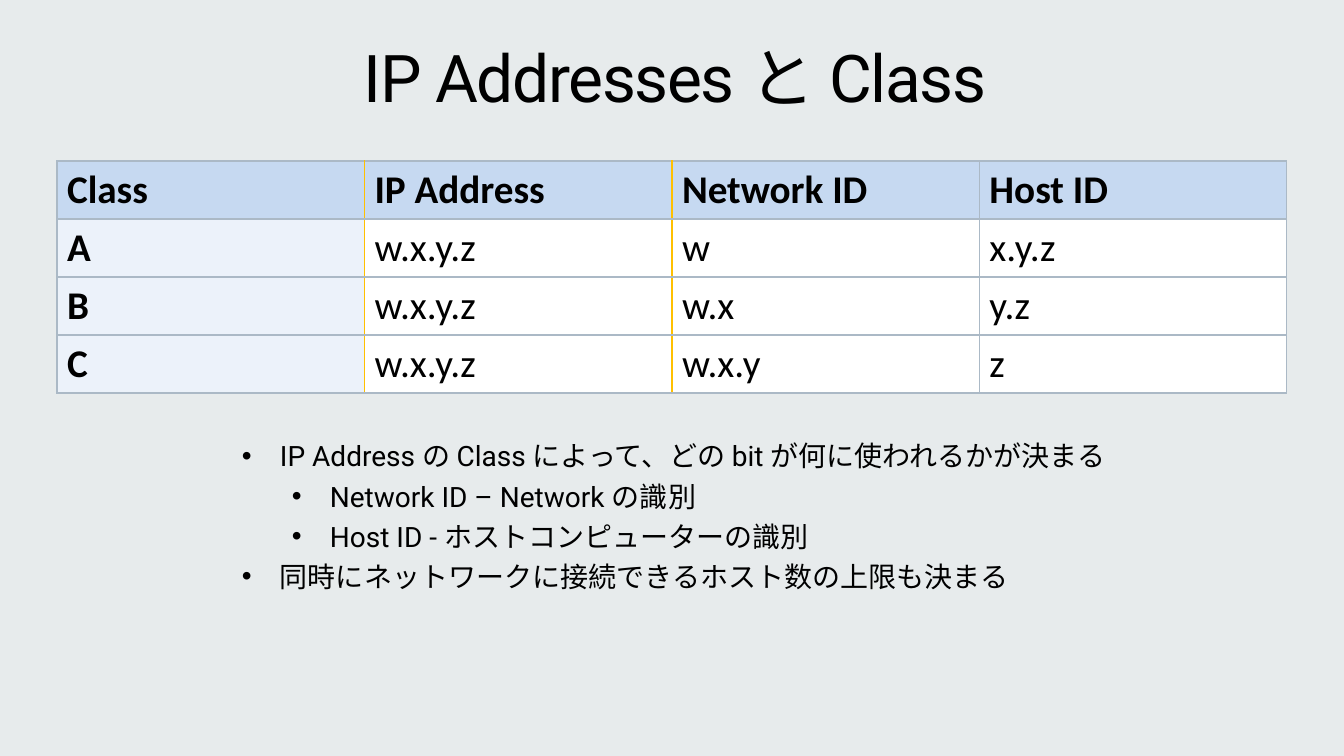
from pptx import Presentation
from pptx.dml.color import RGBColor
from pptx.enum.text import MSO_ANCHOR, PP_ALIGN
from pptx.oxml.ns import qn
from pptx.util import Pt
from lxml import etree

CENTER, LEFT = PP_ALIGN.CENTER, PP_ALIGN.LEFT
MIDDLE = MSO_ANCHOR.MIDDLE
EMU_PER_PX = 914400 / 100.8

THEME = {
    "background": "E7EBEC", "text": "000000",
    "header": "C6D9F1", "class": "ECF2FA", "body": "FFFFFF",
    "grid": "ABB9C6", "accent": "FFC000",
    "title_size": 47, "table_size": 28, "list_size": 20,
    "font": "Roboto", "table_font": "Calibri",
}


def px(length):
    return round(length * EMU_PER_PX)


def write(paragraph, text, size, font=THEME["font"], bold=False, align=LEFT, tracking=0,
          bullet_indent=None, space_before=0):
    """Fill a paragraph; bullet_indent is its left margin in px, tracking is in points."""
    if bullet_indent is not None:
        properties = paragraph._p.get_or_add_pPr()
        properties.set("marL", str(px(bullet_indent)))
        properties.set("indent", str(-px(38)))
        etree.SubElement(properties, qn("a:buFont")).set("typeface", "Arial")
        etree.SubElement(properties, qn("a:buChar")).set("char", "•")
    paragraph.alignment = align
    paragraph.space_before = Pt(space_before)
    run = paragraph.add_run()
    run.text = text
    run.font.size = Pt(size)
    run.font.name = font
    run.font.bold = bold
    run.font.color.rgb = RGBColor.from_string(THEME["text"])
    if tracking:
        run._r.get_or_add_rPr().set("spc", str(tracking * 100))


presentation = Presentation()
presentation.slide_width, presentation.slide_height = px(1344), px(756)
slide = presentation.slides.add_slide(presentation.slide_layouts[6])
slide.background.fill.solid()
slide.background.fill.fore_color.rgb = RGBColor.from_string(THEME["background"])

# Class table
rows = [
    ("Class", "IP Address", "Network ID", "Host ID"),
    ("A", "w.x.y.z", "w", "x.y.z"),
    ("B", "w.x.y.z", "w.x", "y.z"),
    ("C", "w.x.y.z", "w.x.y", "z"),
]
ROW_HEIGHT, TABLE_WIDTH = 58, 1230
table = slide.shapes.add_table(len(rows), len(rows[0]), px(57), px(161),
                               px(TABLE_WIDTH), px(ROW_HEIGHT * len(rows))).table
table.first_row = table.horz_banding = False
for row in table.rows:
    row.height = px(ROW_HEIGHT)

for row_index, row in enumerate(rows):
    for column_index, text in enumerate(row):
        cell = table.cell(row_index, column_index)
        # The IP Address column is framed by accent lines.
        borders = {
            "a:lnL": "accent" if column_index in (1, 2) else "grid",
            "a:lnR": "accent" if column_index in (0, 1) else "grid",
            "a:lnT": "grid",
            "a:lnB": "grid",
        }
        for side, color in borders.items():
            line = etree.SubElement(cell._tc.get_or_add_tcPr(), qn(side), w=str(Pt(1)))
            fill = etree.SubElement(line, qn("a:solidFill"))
            etree.SubElement(fill, qn("a:srgbClr"), val=THEME[color])
        kind = "header" if row_index == 0 else "class" if column_index == 0 else "body"
        cell.fill.solid()
        cell.fill.fore_color.rgb = RGBColor.from_string(THEME[kind])
        write(cell.text_frame.paragraphs[0], text, THEME["table_size"],
              font=THEME["table_font"], bold=kind != "body")

# Title
title = slide.shapes.add_textbox(px(30), px(32), px(1290), px(99)).text_frame
title.word_wrap = True
title.vertical_anchor = MIDDLE
title.paragraphs[0].line_spacing = 0.9
write(title.paragraphs[0], "IP Addresses と Class", THEME["title_size"],
      align=CENTER, tracking=-1)

# Explanation
points = [
    (0, "IP Address の Class によって、どの bit が何に使われるかが決まる"),
    (1, "Network ID – Network の識別"),
    (1, "Host ID - ホストコンピューターの識別"),
    (0, "同時にネットワークに接続できるホスト数の上限も決まる"),
]
explanation = slide.shapes.add_textbox(px(232), px(434), px(932), px(240)).text_frame
explanation.word_wrap = True
for index, (level, text) in enumerate(points):
    paragraph = explanation.add_paragraph() if index else explanation.paragraphs[0]
    paragraph.level = level
    write(paragraph, text, THEME["list_size"], bullet_indent=38 + 50 * level,
          space_before=4.7 if index else 0)

presentation.save("out.pptx")
